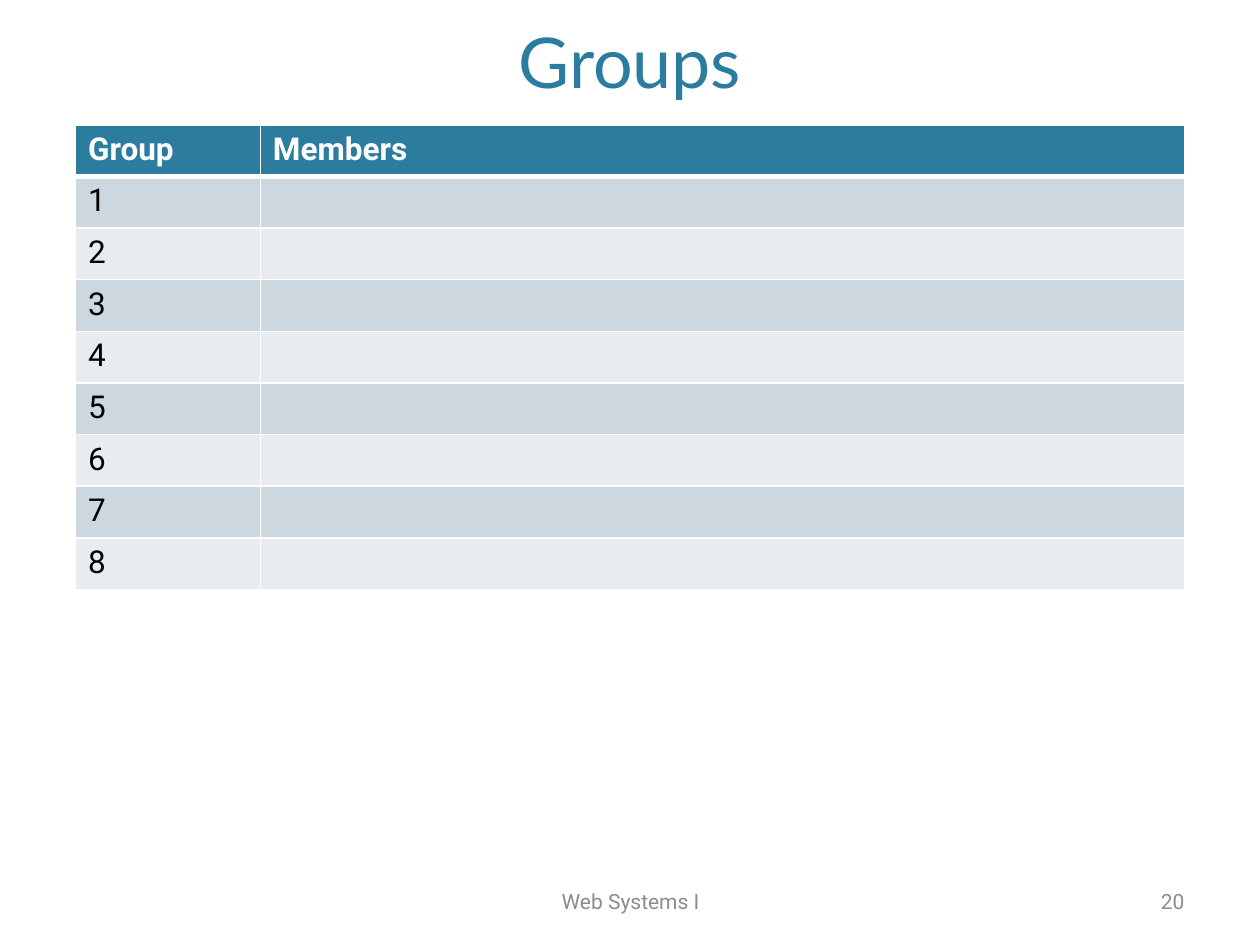
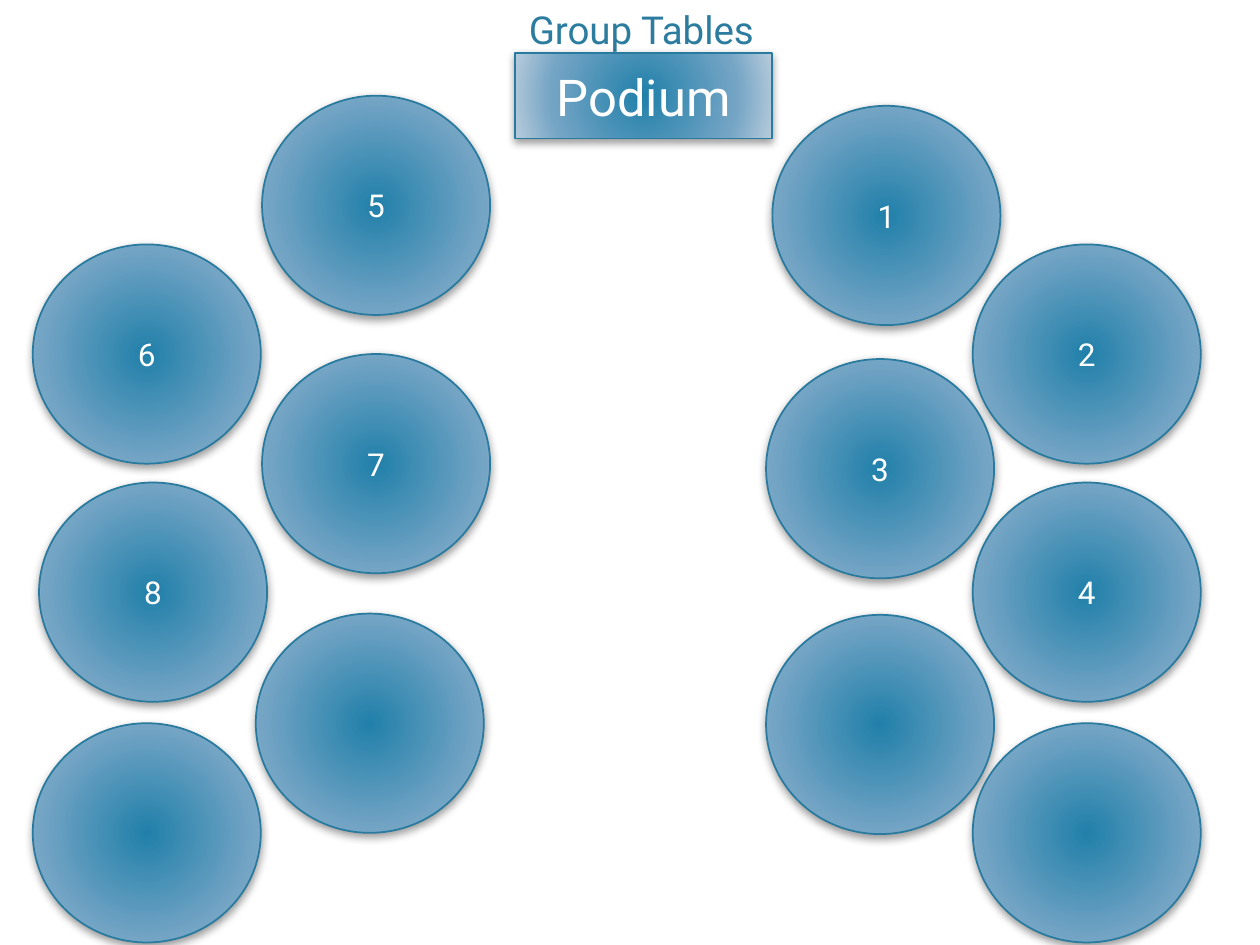
from pptx import Presentation, oxml, util as u
from pptx.dml.color import RGBColor
from pptx.enum import shapes, text
from pptx.oxml import ns

# Shared look
WIDTH, HEIGHT = 10, 7.5
ACCENT = RGBColor(0x2C, 0x7C, 0x9F)
OUTLINE = RGBColor(0x28, 0x7A, 0x9E)
GREY = RGBColor(0x8C, 0x8C, 0x8C)
BLACK = RGBColor(0, 0, 0)
WHITE = RGBColor(0xFF, 0xFF, 0xFF)
BANDS = (RGBColor(0xCD, 0xD7, 0xDF), RGBColor(0xE8, 0xEC, 0xF0))
GLOW = ((0, RGBColor(0x21, 0x80, 0xAA)),
        (69, RGBColor(0x75, 0xA5, 0xC5)),
        (100, RGBColor(0xB8, 0xCC, 0xDC)))
TITLE_FONT, BODY_FONT = "Lato", "Roboto"
LEFT, CENTER, RIGHT = (text.PP_ALIGN.LEFT, text.PP_ALIGN.CENTER,
                       text.PP_ALIGN.RIGHT)
MIDDLE, BOTTOM = text.MSO_ANCHOR.MIDDLE, text.MSO_ANCHOR.BOTTOM

# Group table
MARGIN = 0.6
GROUP_COUNT = 8
COLUMN_SHARES = (1 / 6, 5 / 6)
ROW_HEIGHT = 0.41

# Seating plan: left edge, then (label, top) from front to back
SEAT_SIZE = (1.81, 1.74)
OUTER_TOPS = (1.94, 3.83, 5.74)
SEATS = (
    (0.26, zip(("6", None, ""), OUTER_TOPS)),
    (0.31, (("8", OUTER_TOPS[1]),)),
    (2.08, (("5", 0.76), ("7", 2.81))),
    (2.03, (("", 4.87),)),
    (6.13, (("1", 0.84),)),
    (6.08, (("3", 2.85), ("", 4.88))),
    (7.72, zip(("2", "4", ""), OUTER_TOPS)),
)


def write(frame, words, size=18, color=BLACK, font=BODY_FONT, bold=False,
          align=LEFT):
    paragraph = frame.paragraphs[0]
    paragraph.alignment = align
    run = paragraph.add_run()
    run.text = words
    run.font.size = u.Pt(size)
    run.font.name = font
    run.font.bold = bold
    run.font.color.rgb = color


def add_label(slide, words, left, top, width, height, anchor=MIDDLE,
              **style):
    box = slide.shapes.add_textbox(*map(u.Inches, (left, top, width, height)))
    box.text_frame.word_wrap = True
    box.text_frame.vertical_anchor = anchor
    write(box.text_frame, words, **style)


def add_title(slide, words, left, top, width, height, **style):
    add_label(slide, words, left, top, width, height, anchor=BOTTOM,
              color=ACCENT, align=CENTER, **style)


def add_footer(slide, course, number):
    add_label(slide, course, 3.42, 6.95, 3.17, 0.4, size=12, color=GREY,
              align=CENTER)
    add_label(slide, number, 7.17, 6.95, 2.33, 0.4, size=12, color=GREY,
              align=RIGHT)


def set_borders(cell, top=1, bottom=1):
    properties = cell._tc.get_or_add_tcPr()
    for side, points in zip("LRTB", (1, 1, top, bottom)):
        properties.append(oxml.parse_xml(
            f'<a:ln{side} {ns.nsdecls("a")} w="{u.Pt(points)}"><a:solidFill>'
            f'<a:srgbClr val="{WHITE}"/></a:solidFill></a:ln{side}>'))


def add_group_table(slide, rows):
    width = WIDTH - 2 * MARGIN
    table = slide.shapes.add_table(
        len(rows), len(COLUMN_SHARES), u.Inches(MARGIN), u.Inches(0.99),
        u.Inches(width), u.Inches(ROW_HEIGHT * len(rows))).table
    for column, share in zip(table.columns, COLUMN_SHARES):
        column.width = u.Inches(width * share)
    for index, row in enumerate(rows):
        header = index == 0
        table.rows[index].height = u.Inches(ROW_HEIGHT)
        for cell, words in zip(table.rows[index].cells, row):
            # A thick rule separates the header from the groups
            set_borders(cell, top=3 if index == 1 else 1,
                        bottom=3 if header else 1)
            cell.fill.solid()
            cell.fill.fore_color.rgb = (ACCENT if header
                                        else BANDS[(index - 1) % 2])
            if words:
                write(cell.text_frame, words, bold=header,
                      color=WHITE if header else BLACK)


def add_furniture(slide, kind, words, left, top, width, height, size=18):
    """Draw a glowing, outlined piece of the room with a soft shadow."""
    piece = slide.shapes.add_shape(
        kind, *map(u.Inches, (left, top, width, height)))
    piece.line.color.rgb = OUTLINE
    piece.line.width = u.Pt(1)
    stops = "".join(f'<a:gs pos="{share * 1000}"><a:srgbClr val="{color}"/>'
                    '</a:gs>' for share, color in GLOW)
    properties = piece._element.spPr
    properties.find(ns.qn("a:ln")).addprevious(oxml.parse_xml(
        f'<a:gradFill {ns.nsdecls("a")} rotWithShape="1">'
        f'<a:gsLst>{stops}</a:gsLst><a:path path="circle">'
        '<a:fillToRect l="100000" t="100000" r="100000" b="100000"/>'
        '</a:path></a:gradFill>'))
    properties.append(oxml.parse_xml(
        f'<a:effectLst {ns.nsdecls("a")}><a:outerShdw blurRad="{u.Pt(5)}" '
        f'dist="{u.Pt(2)}" dir="5400000" rotWithShape="0">'
        f'<a:srgbClr val="{BLACK}"><a:alpha val="40000"/></a:srgbClr>'
        '</a:outerShdw></a:effectLst>'))
    if words:
        frame = piece.text_frame
        frame.margin_left = frame.margin_right = u.Inches(0.09)
        frame.vertical_anchor = MIDDLE
        write(frame, words, size=size, color=WHITE, align=CENTER)


def build_groups(slide):
    add_title(slide, "Groups", MARGIN, 0.12, WIDTH - 2 * MARGIN, 0.74,
              size=40, font=TITLE_FONT)
    groups = [(str(number), "") for number in range(1, GROUP_COUNT + 1)]
    add_group_table(slide, [("Group", "Members")] + groups)
    add_footer(slide, "Web Systems I", "20")


def build_seating(slide):
    add_title(slide, "Group Tables", 0.59, -0.79, 9, 1.25, size=22)
    add_furniture(slide, shapes.MSO_SHAPE.RECTANGLE, "Podium",
                  4.09, 0.42, 2.04, 0.68, size=29)
    for left, seats in SEATS:
        for number, top in seats:
            if number is not None:
                add_furniture(slide, shapes.MSO_SHAPE.OVAL, number,
                              left, top, *SEAT_SIZE)


def main():
    deck = Presentation()
    deck.slide_width, deck.slide_height = u.Inches(WIDTH), u.Inches(HEIGHT)
    blank = deck.slide_layouts[6]
    for build in (build_groups, build_seating):
        build(deck.slides.add_slide(blank))
    deck.save("out.pptx")


main()
